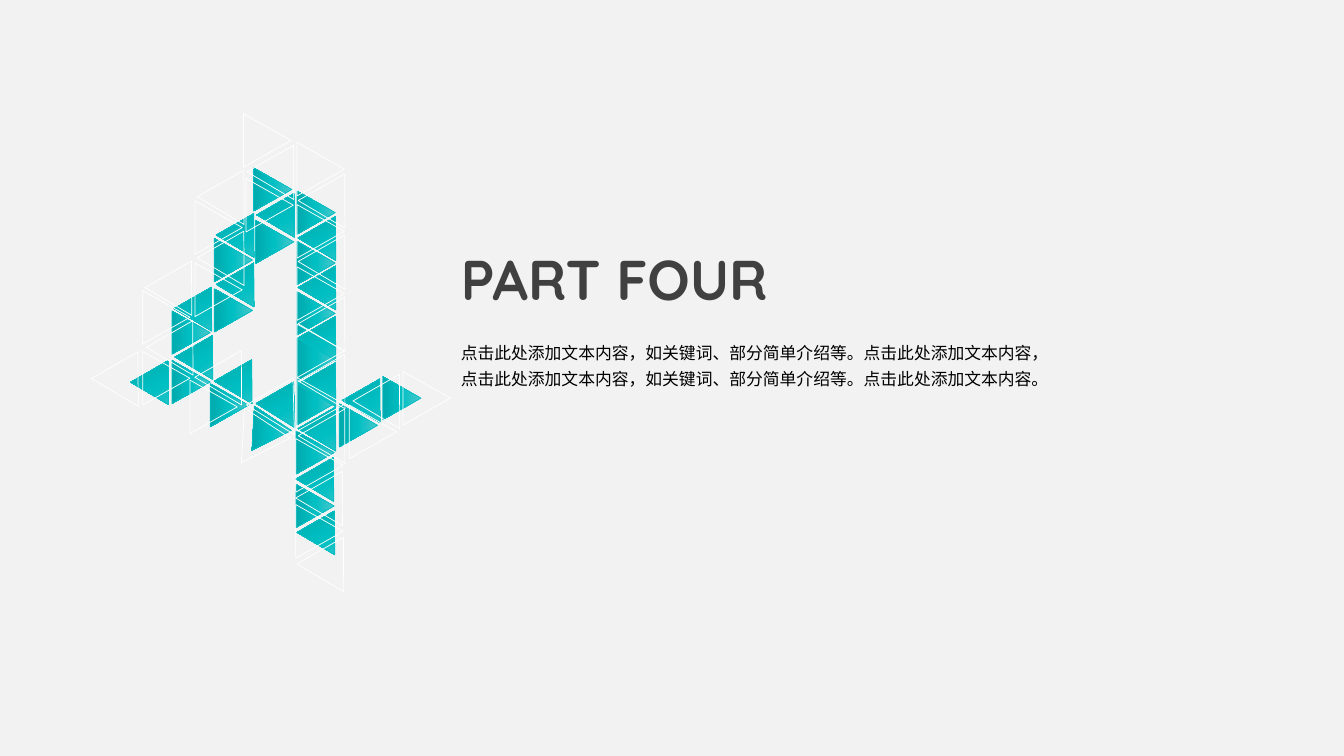
from copy import deepcopy

from pptx import Presentation
from pptx.dml.color import RGBColor
from pptx.enum.shapes import MSO_SHAPE
from pptx.enum.text import MSO_ANCHOR, MSO_AUTO_SIZE, PP_ALIGN
from pptx.util import Inches, Pt

COLORS = {
    "background": "F2F2F2",
    "title": "404040",
    "body": "000000",
    "teal": "00BFC3",
    "teal_light": "4BC7CB",
    "teal_dark": "00AAAD",
    "outline": "FFFFFF",
}

# Triangles of the numeral: (rotation, width, height) -> left, top
TRIANGLES = {
    (90, 0.43, 0.38): [
        (1.68, 3.11), (1.68, 3.6), (2.06, 3.83), (2.1, 2.39), (2.1, 2.89),
        (2.49, 1.69), (2.51, 2.21), (3.34, 4.03), (3.77, 3.76),
        (2.92, 1.92), (2.92, 2.42), (2.92, 2.92), (2.92, 3.38),
        (2.92, 3.81), (2.91, 4.3), (2.91, 4.83),
    ],
    (150.2, 0.43, 0.38): [
        (1.36, 3.66), (1.79, 2.93), (1.8, 3.41), (2.19, 3.65), (2.21, 2.2),
        (2.21, 2.69), (2.61, 2), (3.46, 3.84),
        (3.02, 2.23), (3.02, 2.72), (3.02, 3.22), (3.02, 3.68),
        (3.02, 4.12), (3, 4.62), (3.01, 5.15),
    ],
    (93.2, 0.44, 0.38): [(2.48, 4.07)],
    (150.2, 0.43, 0.4): [(2.61, 3.87)],
}

# The outlines repeat the numeral, enlarged about one fixed point
OUTLINE_SCALE = 1.235
FIXED_X, FIXED_Y = 2.94, 3.95


class SectionSlide:
    font = "Quicksand"
    line_width = Pt(0.5)

    def __init__(self, presentation):
        # The section layout has a title and an unbulleted body
        self.slide = presentation.slides.add_slide(presentation.slide_layouts[2])
        fill = self.slide.background.fill
        fill.solid()
        fill.fore_color.rgb = self.color("background")

    @staticmethod
    def color(name):
        return RGBColor.from_string(COLORS[name])

    def text(self, placeholder, box, text, size, color, spacing, anchor, bold=False):
        placeholder.left, placeholder.top, placeholder.width, placeholder.height = (
            Inches(value) for value in box)
        frame = placeholder.text_frame
        frame.text = text
        frame.word_wrap = True
        frame.auto_size = MSO_AUTO_SIZE.NONE
        frame.vertical_anchor = anchor
        paragraph = frame.paragraphs[0]
        paragraph.alignment = PP_ALIGN.LEFT
        paragraph.line_spacing = spacing
        paragraph.space_before = Pt(0)
        font = paragraph.runs[0].font
        font.name, font.size, font.bold = self.font, Pt(size), bold
        font.color.rgb = self.color(color)

    def gradient(self, fill):
        fill.gradient()
        fill.gradient_angle = 270
        first = fill.gradient_stops[0]._gs
        first.addnext(deepcopy(first))
        names = ("teal_light", "teal", "teal_dark")
        for index, (stop, name) in enumerate(zip(fill.gradient_stops, names)):
            stop.position = index / 2
            stop.color.rgb = self.color(name)

    def triangle(self, group, left, top, width, height, rotation, line, filled):
        shape = group.shapes.add_shape(
            MSO_SHAPE.ISOSCELES_TRIANGLE,
            Inches(left), Inches(top), Inches(width), Inches(height))
        shape.rotation = rotation
        shape.shadow.inherit = False
        if filled:
            self.gradient(shape.fill)
        else:
            shape.fill.background()
        shape.line.color.rgb = self.color(line)
        shape.line.width = self.line_width

    def numeral(self, line, scale=1, filled=False):
        group = self.slide.shapes.add_group_shape()
        for (rotation, width, height), places in TRIANGLES.items():
            for left, top in places:
                self.triangle(
                    group,
                    FIXED_X + scale * (left - FIXED_X),
                    FIXED_Y + scale * (top - FIXED_Y),
                    scale * width, scale * height, rotation, line, filled)


def main():
    presentation = Presentation()
    presentation.slide_width = Inches(13.33)
    presentation.slide_height = Inches(7.5)
    section = SectionSlide(presentation)

    # Heading and introduction
    title, body = section.slide.placeholders
    section.text(title, (4.47, 2.46, 4.35, 0.68), "PART FOUR",
                 40, "title", 0.9, MSO_ANCHOR.MIDDLE, bold=True)
    section.text(body, (4.47, 3.29, 6.16, 0.68),
                 "点击此处添加文本内容，如关键词、部分简单介绍等。点击此处添加文本内容，"
                 "点击此处添加文本内容，如关键词、部分简单介绍等。点击此处添加文本内容。",
                 12, "body", 1.3, MSO_ANCHOR.TOP)

    # Numeral four: filled triangles, then the larger outlines
    section.numeral("teal", filled=True)
    section.numeral("outline", scale=OUTLINE_SCALE)

    presentation.save("out.pptx")


if __name__ == "__main__":
    main()
